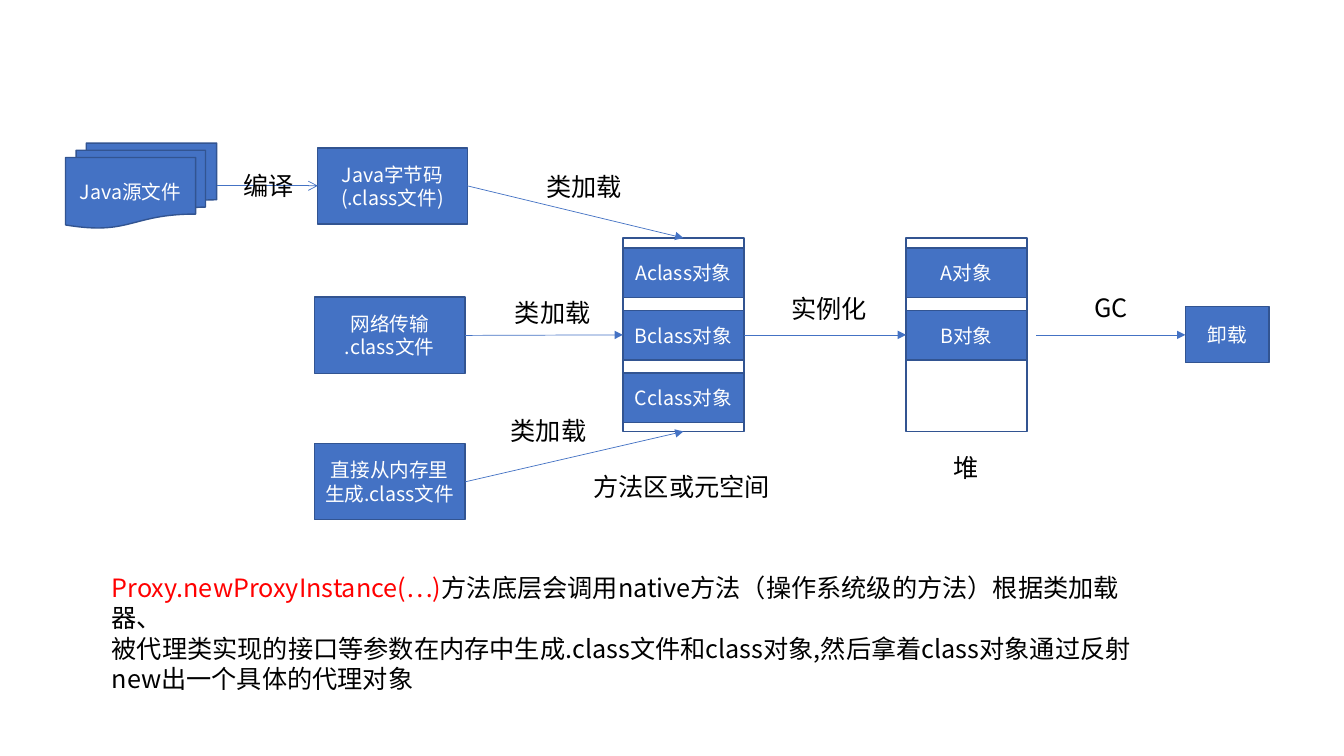
from dataclasses import dataclass

from lxml.etree import SubElement
from pptx import Presentation
from pptx.dml.color import RGBColor
from pptx.enum.shapes import MSO_CONNECTOR as Connector, MSO_SHAPE as Preset
from pptx.enum.text import MSO_ANCHOR as Anchor, MSO_AUTO_SIZE as AutoSize, PP_ALIGN as Align
from pptx.oxml.ns import qn
from pptx.util import Pt


@dataclass(frozen=True)
class Theme:
    """Colours, font and sizes of the slide."""
    font: str = "Noto Sans CJK SC"
    fill: RGBColor = RGBColor(0x44, 0x72, 0xC4)
    outline: RGBColor = RGBColor(0x32, 0x54, 0x91)
    light: RGBColor = RGBColor(0xFF, 0xFF, 0xFF)
    dark: RGBColor = RGBColor(0, 0, 0)
    accent: RGBColor = RGBColor(0xFF, 0, 0)
    box_size: float = 14
    label_size: float = 18
    line_factor: float = 1.2


THEME = Theme()
AREA_TOP, AREA_WIDTH, AREA_HEIGHT = 170, 86.4, 138.2
SLOT_TOP, SLOT_HEIGHT, SLOT_PITCH = 177.1, 35.4, 44.65
METHOD_LEFT, HEAP_LEFT = 445, 647.2
METHOD_MIDDLE = METHOD_LEFT + AREA_WIDTH / 2
FLOW_Y = 239.2


def format_text(text_frame, size, color):
    """Give all runs of a text frame one look."""
    for paragraph in text_frame.paragraphs:
        paragraph.line_spacing = Pt(size * THEME.line_factor)
        for run in paragraph.runs:
            run.font.name = THEME.font
            run.font.size = Pt(size)
            run.font.color.rgb = color
            SubElement(run.font._element, qn("a:ea"), typeface=THEME.font)


def add_outlined(slide, left, top, width, height, preset=Preset.RECTANGLE):
    """Add an unfilled shape with the dark blue outline."""
    shape = slide.shapes.add_shape(preset, Pt(left), Pt(top), Pt(width), Pt(height))
    shape.shadow.inherit = False
    shape.fill.background()
    shape.line.color.rgb = THEME.outline
    shape.line.width = Pt(1)
    return shape


def add_box(slide, text, left, top, width, height, preset=Preset.RECTANGLE):
    """Add a filled shape with centred white text."""
    shape = add_outlined(slide, left, top, width, height, preset)
    shape.fill.solid()
    shape.fill.fore_color.rgb = THEME.fill
    text_frame = shape.text_frame
    text_frame.text = text
    text_frame.word_wrap = True
    text_frame.vertical_anchor = Anchor.MIDDLE
    for paragraph in text_frame.paragraphs:
        paragraph.alignment = Align.CENTER
    format_text(text_frame, THEME.box_size, THEME.light)


def add_memory_area(slide, left, objects):
    """Add a memory area with its objects in evenly spaced slots."""
    add_outlined(slide, left, AREA_TOP, AREA_WIDTH, AREA_HEIGHT)
    for index, text in enumerate(objects):
        add_box(slide, text, left, SLOT_TOP + index * SLOT_PITCH, AREA_WIDTH, SLOT_HEIGHT)


def add_arrow(slide, start, end, head="triangle"):
    """Add a thin straight arrow between two points."""
    points = [Pt(value) for value in (*start, *end)]
    connector = slide.shapes.add_connector(Connector.STRAIGHT, *points)
    connector.line.color.rgb = THEME.fill
    connector.line.width = Pt(0.5)
    SubElement(connector.line._get_or_add_ln(), qn("a:tailEnd"), type=head)
    SubElement(connector._element.spPr, qn("a:effectLst"))


def add_label(slide, text, left, top, width, height=28.8):
    """Add a text box and return its text frame."""
    box = slide.shapes.add_textbox(Pt(left), Pt(top), Pt(width), Pt(height))
    text_frame = box.text_frame
    text_frame.text = text
    text_frame.word_wrap = True
    text_frame.auto_size = AutoSize.SHAPE_TO_FIT_TEXT
    format_text(text_frame, THEME.label_size, THEME.dark)
    return text_frame


def add_proxy_note(slide):
    """Add the explanation whose method call stands out in red."""
    call = "Proxy.newProxyInstance(…)"
    lines = (
        "方法底层会调用native方法（操作系统级的方法）根据类加载器、",
        "被代理类实现的接口等参数在内存中生成.class文件和class对象,然后拿着class对象通过反射",
        "new出一个具体的代理对象",
    )
    text_frame = add_label(slide, "\n".join((call, *lines[1:])), 72.7, 405.4, 743.8, 72.7)
    first = text_frame.paragraphs[0]
    first.add_run().text = lines[0]
    format_text(text_frame, THEME.label_size, THEME.dark)
    first.runs[0].font.color.rgb = THEME.accent


def main():
    """Build the class life cycle slide."""
    presentation = Presentation()
    presentation.slide_width, presentation.slide_height = Pt(960), Pt(540)
    slide = presentation.slides.add_slide(presentation.slide_layouts[6])

    add_memory_area(slide, METHOD_LEFT, ("Aclass对象", "Bclass对象", "Cclass对象"))
    add_memory_area(slide, HEAP_LEFT, ("A对象", "B对象"))

    add_box(slide, "Java源文件", 46.8, 102.2, 108, 60.8, Preset.FLOWCHART_MULTIDOCUMENT)
    add_box(slide, "Java字节码\n(.class文件)", 227, 105.8, 106.8, 54.3)
    add_box(slide, "网络传输\n.class文件", 224.6, 212.2, 107.6, 54.5)
    add_box(slide, "直接从内存里生成.class文件", 224.6, 316.8, 107.6, 54.5)
    add_box(slide, "卸载", 846.7, 218.9, 59.8, 40.3)

    add_arrow(slide, (154.8, 132.7), (227, 132.7), "arrow")
    add_arrow(slide, (333.6, 132.7), (METHOD_MIDDLE, AREA_TOP))
    add_arrow(slide, (332.2, 239.6), (METHOD_LEFT, FLOW_Y))
    add_arrow(slide, (332.2, 344.2), (METHOD_MIDDLE, AREA_TOP + AREA_HEIGHT))
    add_arrow(slide, (METHOD_LEFT + AREA_WIDTH, FLOW_Y), (HEAP_LEFT, FLOW_Y))
    add_arrow(slide, (740.2, FLOW_Y), (846.7, FLOW_Y))

    add_label(slide, "编译", 167, 118.1, 51.1)
    for left, top in ((383, 118.8), (360.7, 208.8), (357.8, 293)):
        add_label(slide, "类加载", left, top, 69.1)
    add_label(slide, "实例化", 558, 205.9, 69.1)
    add_label(slide, "GC", 774.7, 205.2, 38.2)
    add_label(slide, "方法区或元空间", 416.9, 333.4, 141.8)
    add_label(slide, "堆", 673.9, 319.7, 32.4)
    add_proxy_note(slide)

    presentation.save("out.pptx")


if __name__ == "__main__":
    main()
